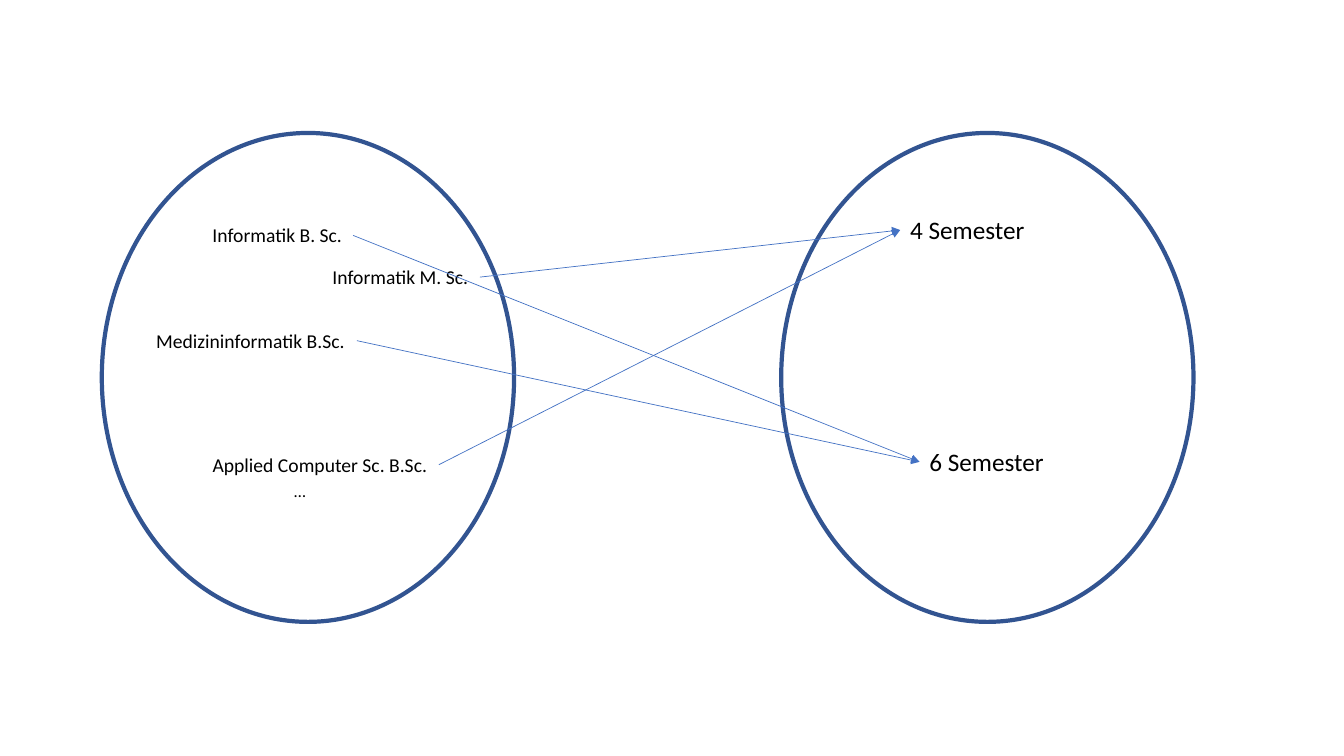
"""Build a slide mapping degree programmes to their standard length in semesters."""
from pptx import Presentation
from pptx.dml.color import RGBColor
from pptx.enum import shapes, text
from pptx.oxml.ns import qn
from pptx.util import Pt
from lxml import etree

OUTLINE = RGBColor(0x32, 0x54, 0x91)
ARROW = RGBColor(0x44, 0x72, 0xC4)
BLACK = RGBColor(0, 0, 0)

SET_LEFTS = (72.7, 558)
SET_TOP, SET_WIDTH, SET_HEIGHT = 95, 294.5, 349.2
BOX_HEIGHTS = {12: 21.8, 14: 24.3, 18: 29}
LABELS = [
    ("Informatik B. Sc.", 144.7, 156, 107.5, 14),
    ("Medizininformatik B.Sc.", 104.4, 231.2, 150.5, 14),
    ("Applied Computer Sc. B.Sc.", 144.7, 319.8, 168.8, 14),
    ("…", 203, 339.8, 23.8, 12),
    ("Informatik M. Sc.", 230.4, 185.8, 112.4, 14),
    ("4 Semester", 643, 149.8, 97.2, 18),
    ("6 Semester", 656.8, 315.4, 97.2, 18),
]
MAPPING = [
    ("Informatik B. Sc.", "6 Semester"),
    ("Medizininformatik B.Sc.", "6 Semester"),
    ("Applied Computer Sc. B.Sc.", "4 Semester"),
    ("Informatik M. Sc.", "4 Semester"),
]
LEFT_SITE, RIGHT_SITE = 1, 3


def add_set(s, left):
    sp = s.shapes.add_shape(shapes.MSO_SHAPE.OVAL, Pt(left), Pt(SET_TOP),
                            Pt(SET_WIDTH), Pt(SET_HEIGHT))
    sp.shadow.inherit = False
    sp.fill.background()
    sp.line.color.rgb = OUTLINE
    sp.line.width = Pt(3)


def add_label(s, label, left, top, width, size):
    sp = s.shapes.add_textbox(Pt(left), Pt(top), Pt(width), Pt(BOX_HEIGHTS[size]))
    tf = sp.text_frame
    tf.text = label
    tf.word_wrap = False
    tf.auto_size = text.MSO_AUTO_SIZE.SHAPE_TO_FIT_TEXT
    font = tf.paragraphs[0].runs[0].font
    font.name, font.size, font.color.rgb = "Calibri", Pt(size), BLACK
    return sp


def add_arrow(s, programme, duration):
    cx = s.shapes.add_connector(shapes.MSO_CONNECTOR.STRAIGHT, 0, 0, 0, 0)
    cx.begin_connect(programme, RIGHT_SITE)
    cx.end_connect(duration, LEFT_SITE)
    cx.line.color.rgb = ARROW
    cx.line.width = Pt(0.5)
    etree.SubElement(cx.line._get_or_add_ln(), qn("a:tailEnd"), type="triangle")
    etree.SubElement(cx._element.spPr, qn("a:effectLst"))


prs = Presentation()
prs.slide_width, prs.slide_height = Pt(960), Pt(540)
s = prs.slides.add_slide(prs.slide_layouts[6])

for left in SET_LEFTS:
    add_set(s, left)
boxes = {label[0]: add_label(s, *label) for label in LABELS}
for programme, duration in MAPPING:
    add_arrow(s, boxes[programme], boxes[duration])

prs.save("out.pptx")
